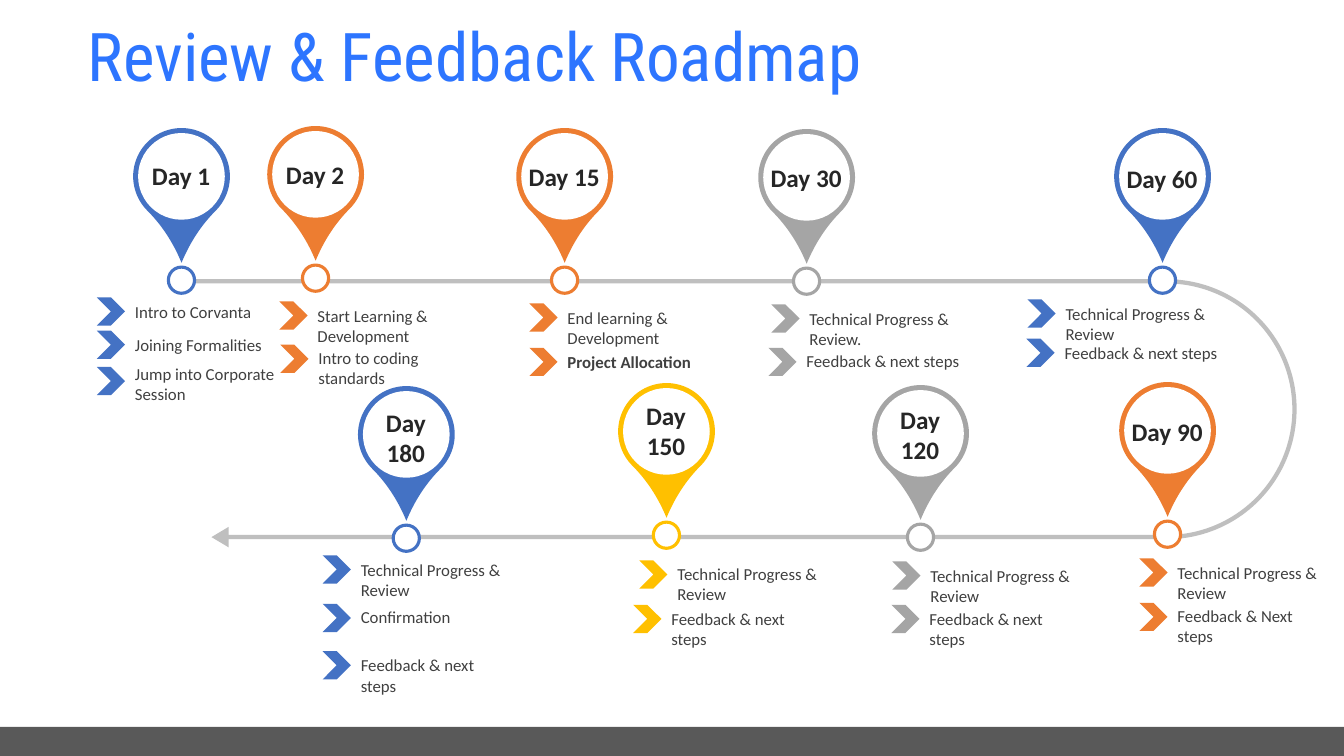
from pptx import Presentation
from pptx.dml.color import RGBColor
from pptx.enum.shapes import MSO_SHAPE as Shape
from pptx.enum.text import MSO_ANCHOR as Anchor, MSO_AUTO_SIZE as Fit, PP_ALIGN as Align
from pptx.util import Pt

PX = 9144
BLUE, ORANGE, GREY, GOLD = "4472C4", "ED7D31", "A5A5A5", "FFC000"

deck = Presentation()
deck.slide_width, deck.slide_height = 1333 * PX, 750 * PX
slide = deck.slides.add_slide(deck.slide_layouts[5])


def draw(kind, x, y, w, h, fill, line=None):
    shape = slide.shapes.add_shape(kind, x * PX, y * PX, w * PX, h * PX)
    shape.shadow.inherit = False
    shape.fill.solid()
    shape.fill.fore_color.rgb = RGBColor.from_string(fill)
    if line:
        shape.line.color.rgb = RGBColor.from_string(line)
        shape.line.width = Pt(2.25)
    else:
        shape.line.fill.background()
    return shape


def write(box, x, y, w, h, text, size, color, bold=False, face="Calibri", align=Align.LEFT):
    box.left, box.top, box.width, box.height = x * PX, y * PX, w * PX, h * PX
    frame = box.text_frame
    frame.text = text
    frame.word_wrap = True
    frame.auto_size = Fit.NONE
    frame.vertical_anchor = Anchor.TOP
    para = frame.paragraphs[0]
    para.alignment = align
    para.font.name, para.font.size, para.font.bold = face, Pt(size), bold
    para.font.color.rgb = RGBColor.from_string(color)


write(slide.shapes.title, 77, 9, 1234, 91, "Review & Feedback Roadmap", 48, "2D75FF",
      face="Roboto Condensed")
draw(Shape.RECTANGLE, 0, 721, 1333, 29, "595959")

road = draw(Shape.U_TURN_ARROW, 593, -150, 266, 1120, "BFBFBF")
road.rotation = 90
for i, value in enumerate((0.016, 0.038, 0.064, 0.485, 0.961)):
    road.adjustments[i] = value

pins = [
    (132, 127, BLUE, "Day 1", 154),
    (265, 125, ORANGE, "Day 2", 153),
    (512, 127, ORANGE, "Day 15", 155),
    (752, 128, GREY, "Day 30", 156),
    (1105, 127, BLUE, "Day 60", 157),
    (1110, 379, ORANGE, "Day 90", 408),
    (865, 382, GREY, "Day 120", 396),
    (613, 380, GOLD, "Day 150", 392),
    (355, 383, BLUE, "Day 180", 399),
]
for x, y, color, label, top in pins:
    drop = draw(Shape.TEAR, x, y, 96, 96, color)
    drop.rotation = 135
    drop.adjustments[0] = 1.262
    draw(Shape.OVAL, x + 35, y + 138, 26, 26, "FFFFFF", color)
    draw(Shape.OVAL, x + 5, y + 5, 86, 86, "FFFFFF")
    box = slide.shapes.add_textbox(0, 0, 0, 0)
    write(box, x - 3, top, 101, 40, label, 18, "262626", True, align=Align.CENTER)

steps = [
    (96, 295, 294, 165, BLUE, "Intro to Corvanta"),
    (96, 328, 327, 165, BLUE, "Joining Formalities"),
    (96, 364, 356, 165, BLUE, "Jump into Corporate Session"),
    (277, 299, 298, 165, ORANGE, "Start Learning & Development"),
    (278, 342, 340, 165, ORANGE, "Intro to coding standards"),
    (525, 301, 300, 165, ORANGE, "End learning & Development"),
    (525, 345, 344, 165, ORANGE, "Project Allocation"),
    (765, 302, 301, 165, GREY, "Technical Progress & Review."),
    (762, 345, 343, 182, GREY, "Feedback & next steps"),
    (1019, 297, 296, 165, BLUE, "Technical Progress & Review"),
    (1018, 336, 335, 180, BLUE, "Feedback & next steps"),
    (1130, 554, 553, 165, ORANGE, "Technical Progress & Review"),
    (1130, 598, 596, 165, ORANGE, "Feedback & Next steps"),
    (885, 557, 556, 165, GREY, "Technical Progress & Review"),
    (884, 600, 599, 165, GREY, "Feedback & next steps"),
    (634, 556, 554, 165, GOLD, "Technical Progress & Review"),
    (628, 600, 599, 165, GOLD, "Feedback & next steps"),
    (320, 551, 550, 165, BLUE, "Technical Progress & Review"),
    (320, 599, 597, 165, BLUE, "Confirmation"),
    (320, 646, 645, 165, BLUE, "Feedback & next steps"),
]
for x, y, top, width, color, text in steps:
    draw(Shape.CHEVRON, x, y, 28, 28, color)
    box = slide.shapes.add_textbox(0, 0, 0, 0)
    write(box, x + 28, top, width, 30, text, 12, "404040", text == "Project Allocation")

deck.save("out.pptx")
